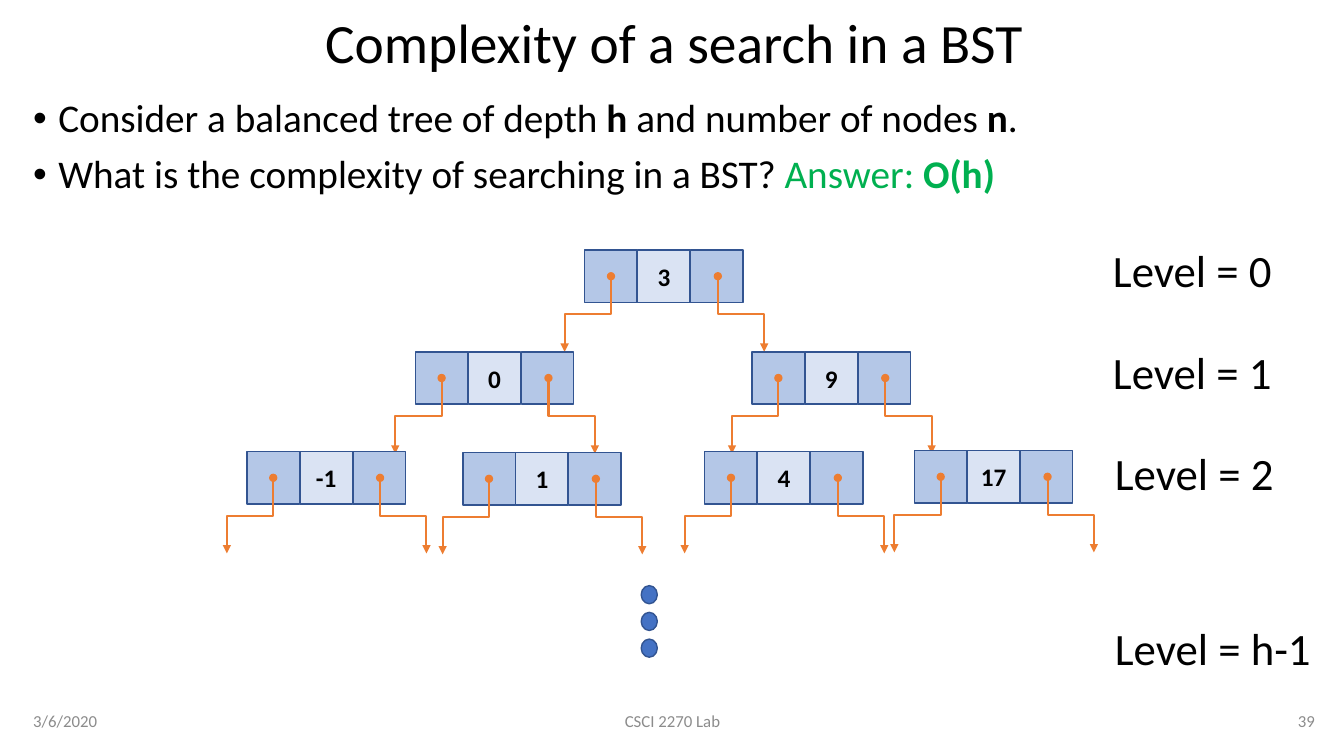
from pptx import Presentation
from pptx.dml.color import RGBColor
from pptx.enum.shapes import MSO_CONNECTOR as Connector, MSO_SHAPE as Shape
from pptx.enum.text import MSO_ANCHOR as Anchor, PP_ALIGN as Align
from pptx.oxml.ns import qn
from pptx.util import Inches, Pt
from lxml.etree import SubElement

BLACK = RGBColor(0x00, 0x00, 0x00)
GREEN = RGBColor(0x00, 0xB0, 0x50)
GRAY = RGBColor(0x8C, 0x8C, 0x8C)
POINTER_FILL = RGBColor(0xB4, 0xC7, 0xE7)
KEY_FILL = RGBColor(0xDA, 0xE3, 0xF3)
DOT_FILL = RGBColor(0x44, 0x72, 0xC4)
OUTLINE = RGBColor(0x32, 0x54, 0x91)
ORANGE = RGBColor(0xED, 0x7D, 0x31)

FONT = "Calibri"
CELL = 0.52
PITCH = 0.525
DROP = 0.75
REACH = 0.46
NODES = [
    ("3", 5.8, 2.48),
    ("0", 4.12, 3.49), ("9", 7.46, 3.49),
    ("-1", 2.45, 4.48), ("1", 4.59, 4.49), ("4", 6.99, 4.48), ("17", 9.07, 4.47),
]
LEVELS = [
    ("Level = 0", 10.94, 2.36, 1.9), ("Level = 1", 10.94, 3.37, 1.9),
    ("Level = 2", 10.96, 4.37, 1.9), ("Level = h-1", 10.96, 6.11, 2.17),
]
FOOTERS = [
    ("3/6/2020", 0.23, 3, Align.LEFT),
    ("CSCI 2270 Lab", 4.42, 4.5, Align.CENTER),
    ("39", 10.14, 3, Align.RIGHT),
]
BULLETS = [
    [("Consider a balanced tree of depth ", False, BLACK), ("h ", True, BLACK),
     ("and number of nodes ", False, BLACK), ("n", True, BLACK), (".", False, BLACK)],
    [("What is the complexity of searching in a BST? ", False, BLACK),
     ("Answer: ", False, GREEN), ("O(h)", True, GREEN)],
]


def style_font(font, size, color, bold=False):
    """Apply the slide font with a size, colour and weight."""
    font.name = FONT
    font.size = Pt(size)
    font.color.rgb = color
    font.bold = bold


def add_text(slide, text, box, size, color=BLACK, align=Align.LEFT, anchor=Anchor.TOP):
    """Add a one-paragraph text box and return its paragraph."""
    frame = slide.shapes.add_textbox(*map(Inches, box)).text_frame
    frame.word_wrap = True
    frame.vertical_anchor = anchor
    frame.text = text
    paragraph = frame.paragraphs[0]
    paragraph.alignment = align
    style_font(paragraph.runs[0].font, size, color)
    return paragraph


def add_bullets(slide, box):
    """Add the bulleted statements with mixed formatting."""
    frame = slide.shapes.add_textbox(*map(Inches, box)).text_frame
    frame.word_wrap = True
    for index, pieces in enumerate(BULLETS):
        paragraph = frame.add_paragraph() if index else frame.paragraphs[0]
        paragraph.line_spacing = 0.9
        paragraph.space_before = Pt(10)
        properties = paragraph._p.get_or_add_pPr()
        properties.set("marL", str(Inches(0.25)))
        properties.set("indent", str(Inches(-0.25)))
        SubElement(properties, qn("a:buFont")).set("typeface", "Arial")
        SubElement(properties, qn("a:buChar")).set("char", "•")
        for text, bold, color in pieces:
            run = paragraph.add_run()
            run.text = text
            style_font(run.font, 28, color, bold)


def add_filled(shapes, kind, box, fill):
    """Add an outlined preset shape without a shadow."""
    shape = shapes.add_shape(kind, *map(Inches, box))
    shape.shadow.inherit = False
    shape.fill.solid()
    shape.fill.fore_color.rgb = fill
    shape.line.color.rgb = OUTLINE
    shape.line.width = Pt(1)
    return shape


def add_child_arrow(shapes, x, y, direction):
    """Add an elbow arrow that drops from a pointer cell to the left (-1) or right (1)."""
    middle_x, middle_y = x + direction * REACH / 2, y + DROP / 2
    start_x = middle_x + direction * DROP / 2
    end_x = middle_x - direction * DROP / 2
    ends = (start_x, middle_y - REACH / 2, end_x, middle_y + REACH / 2)
    connector = shapes.add_connector(Connector.ELBOW, *map(Inches, ends))
    properties = connector._element.spPr
    rotation = 90 if direction < 0 else 270
    properties.find(qn("a:xfrm")).set("rot", str(rotation * 60000))
    connector.line.color.rgb = ORANGE
    connector.line.width = Pt(1.5)
    line = properties.find(qn("a:ln"))
    SubElement(line, qn("a:headEnd")).set("type", "oval")
    SubElement(line, qn("a:tailEnd")).set("type", "triangle")
    SubElement(properties, qn("a:effectLst"))


def add_node(slide, key, left, top):
    """Add a grouped tree node: two pointer cells, a key and two arrows."""
    shapes = slide.shapes.add_group_shape().shapes
    fills = (POINTER_FILL, KEY_FILL, POINTER_FILL)
    cells = [
        add_filled(shapes, Shape.RECTANGLE, (left + index * PITCH, top, CELL, CELL), fill)
        for index, fill in enumerate(fills)
    ]
    frame = cells[1].text_frame
    frame.text = key
    frame.vertical_anchor = Anchor.MIDDLE
    frame.paragraphs[0].alignment = Align.CENTER
    style_font(frame.paragraphs[0].runs[0].font, 18, BLACK, True)
    add_child_arrow(shapes, left + 0.26, top + 0.26, -1)
    add_child_arrow(shapes, left + 1.32, top + 0.26, 1)


def main():
    """Build the slide and save it."""
    presentation = Presentation()
    presentation.slide_width = Inches(13.33)
    presentation.slide_height = Inches(7.5)
    slide = presentation.slides.add_slide(presentation.slide_layouts[6])
    title = add_text(slide, "Complexity of a search in a BST", (0.23, 0.15, 12.91, 0.6),
                     39.6, align=Align.CENTER, anchor=Anchor.MIDDLE)
    title.line_spacing = 0.9
    add_bullets(slide, (0.23, 0.93, 12.91, 5.83))
    for text, left, width, align in FOOTERS:
        add_text(slide, text, (left, 6.95, width, 0.4), 12, GRAY, align, Anchor.MIDDLE)
    for key, left, top in NODES:
        add_node(slide, key, left, top)
    for text, left, top, width in LEVELS:
        add_text(slide, text, (left, top, width, 0.64), 32)
    for index in range(3):
        add_filled(slide.shapes, Shape.OVAL, (6.36, 5.81 + index * 0.265, 0.16, 0.18), DOT_FILL)
    presentation.save("out.pptx")


if __name__ == "__main__":
    main()
